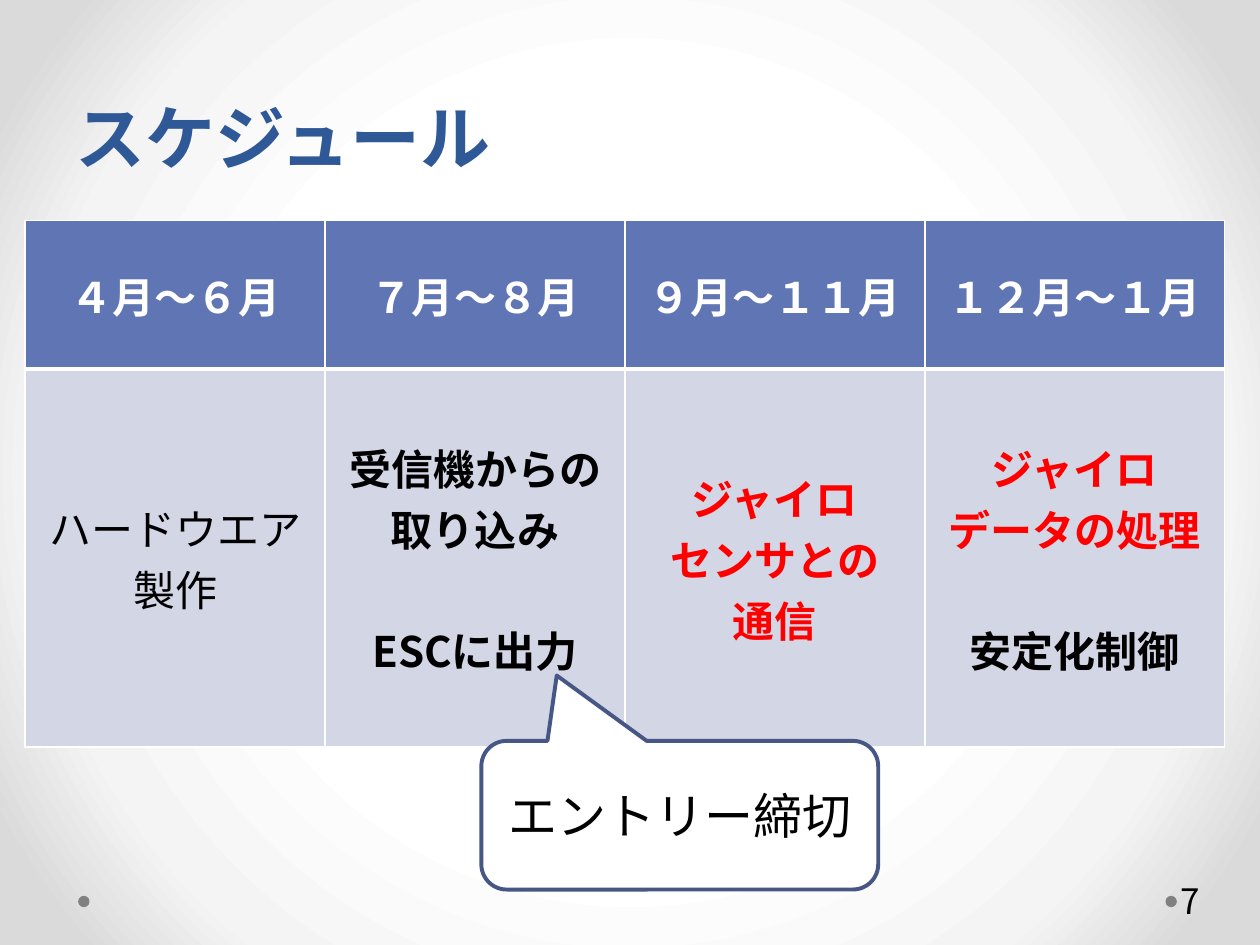
from lxml import etree
from pptx import Presentation
from pptx.dml.color import RGBColor
from pptx.enum.shapes import MSO_SHAPE
from pptx.enum.text import MSO_ANCHOR, MSO_AUTO_SIZE, PP_ALIGN
from pptx.oxml import parse_xml
from pptx.oxml.ns import nsdecls, qn
from pptx.util import Inches, Pt

LEFT, CENTER = PP_ALIGN.LEFT, PP_ALIGN.CENTER
MIDDLE, BOTTOM = MSO_ANCHOR.MIDDLE, MSO_ANCHOR.BOTTOM
NO_FIT = MSO_AUTO_SIZE.NONE
OVAL, CALLOUT = MSO_SHAPE.OVAL, MSO_SHAPE.ROUNDED_RECTANGULAR_CALLOUT

FONT = "Noto Sans CJK JP"
COLORS = {
    "title": "2F5897", "header": "6076B4", "body": "D2D6E5",
    "white": "FFFFFF", "black": "000000", "red": "FF0000",
    "outline": "475785", "dot": "808080",
}
BACKGROUND_STOPS = [(50, "FFFFFF"), (76, "F4F4F4"), (92, "DADADA")]

TITLE = "スケジュール"
DEADLINE = "エントリー締切"
PAGE_NUMBER = "7"
LINE_GAP = 34.75
SCHEDULE = [
    ("４月～６月", [("ハードウエア製作", "black", False, 0)]),
    ("７月～８月", [("受信機からの取り込み", "black", True, 0),
                ("ESCに出力", "black", True, LINE_GAP)]),
    ("９月～１１月", [("ジャイロ", "red", True, 0),
                 ("センサとの", "red", True, 0),
                 ("通信", "red", True, 0)]),
    ("１２月～１月", [("ジャイロ", "red", True, 0),
                 ("データの処理", "red", True, 0),
                 ("安定化制御", "black", True, LINE_GAP)]),
]
TABLE_LEFT, TABLE_TOP, COLUMN_WIDTH = 0.2, 1.75, 2.38
ROW_HEIGHTS = [1.18, 3.0]
DOTS_LEFT = [0.62, 9.25]


def rgb(name):
    return RGBColor.from_string(COLORS[name])


def box(*lengths):
    return [Inches(v) for v in lengths]


def set_attrs(target, **values):
    for name, value in values.items():
        setattr(target, name, value)


def write(p, text, size, color, bold=False, align=LEFT):
    p.alignment = align
    r = p.add_run()
    r.text = text
    set_attrs(r.font, size=Pt(size), bold=bold, name=FONT)
    r.font.color.rgb = rgb(color)
    etree.SubElement(r.font._element, qn("a:ea"), typeface=FONT)


def paint_background(slide):
    fill = slide.background.fill
    fill.gradient()
    grad = fill._xPr.find(qn("a:gradFill"))
    stops = "".join(
        f'<a:gs pos="{pos * 1000}"><a:srgbClr val="{color}"/></a:gs>'
        for pos, color in BACKGROUND_STOPS)
    radial = parse_xml(
        f'<a:gradFill {nsdecls("a")} rotWithShape="1"><a:gsLst>{stops}</a:gsLst>'
        '<a:path path="circle"><a:fillToRect l="50000" t="50000" r="50000" b="50000"/>'
        '</a:path></a:gradFill>')
    grad.getparent().replace(grad, radial)


def add_shape(slide, kind, bounds, fill):
    sp = slide.shapes.add_shape(kind, *box(*bounds))
    sp.shadow.inherit = False
    sp.fill.solid()
    sp.fill.fore_color.rgb = rgb(fill)
    return sp


def style_cell(cell, fill, top, bottom):
    cell.vertical_anchor = MIDDLE
    tcPr = cell._tc.get_or_add_tcPr()
    for side, width in zip("LRTB", (1, 1, top, bottom)):
        tcPr.append(parse_xml(
            f'<a:ln{side} {nsdecls("a")} w="{Pt(width)}"><a:solidFill>'
            f'<a:srgbClr val="{COLORS["white"]}"/></a:solidFill></a:ln{side}>'))
    cell.fill.solid()
    cell.fill.fore_color.rgb = rgb(fill)


def add_schedule(slide):
    bounds = box(TABLE_LEFT, TABLE_TOP, COLUMN_WIDTH * len(SCHEDULE), sum(ROW_HEIGHTS))
    table = slide.shapes.add_table(len(ROW_HEIGHTS), len(SCHEDULE), *bounds).table
    for row, height in zip(table.rows, ROW_HEIGHTS):
        row.height = Inches(height)
    for i, (period, tasks) in enumerate(SCHEDULE):
        table.columns[i].width = Inches(COLUMN_WIDTH)
        header, body = table.cell(0, i), table.cell(1, i)
        style_cell(header, "header", 1, 3)
        style_cell(body, "body", 3, 1)
        write(header.text_frame.paragraphs[0], period, 24, "white", True, CENTER)
        tf = body.text_frame
        for n, (text, color, bold, gap) in enumerate(tasks):
            p = tf.add_paragraph() if n else tf.paragraphs[0]
            if gap:
                p.space_before = Pt(gap)
            write(p, text, 24, color, bold, CENTER)


def main():
    prs = Presentation()
    set_attrs(prs, slide_width=Inches(10), slide_height=Inches(7.5))
    slide = prs.slides.add_slide(prs.slide_layouts[5])
    paint_background(slide)

    for left in DOTS_LEFT:
        add_shape(slide, OVAL, (left, 7.11, 0.09, 0.09), "dot").line.fill.background()

    title = slide.shapes.title
    title.left, title.top, title.width, title.height = box(0.5, 0, 7.33, 1.47)
    set_attrs(title.text_frame, vertical_anchor=BOTTOM, auto_size=NO_FIT, word_wrap=True)
    p = title.text_frame.paragraphs[0]
    p.line_spacing = Pt(58)
    write(p, TITLE, 40, "title", True)

    add_schedule(slide)

    tf = slide.shapes.add_textbox(*box(9.34, 6.95, 0.61, 0.4)).text_frame
    set_attrs(tf, word_wrap=True, vertical_anchor=MIDDLE,
              margin_left=Inches(0.03), margin_right=Inches(0.05))
    write(tf.paragraphs[0], PAGE_NUMBER, 20, "black")

    callout = add_shape(slide, CALLOUT, (3.82, 5.88, 3.15, 1.18), "white")
    for i, value in enumerate((-0.31, -0.94, 0.17)):
        callout.adjustments[i] = value
    callout.line.color.rgb = rgb("outline")
    callout.line.width = Pt(2.25)
    callout.text_frame.vertical_anchor = MIDDLE
    write(callout.text_frame.paragraphs[0], DEADLINE, 28, "black", align=CENTER)

    prs.save("out.pptx")


if __name__ == "__main__":
    main()
